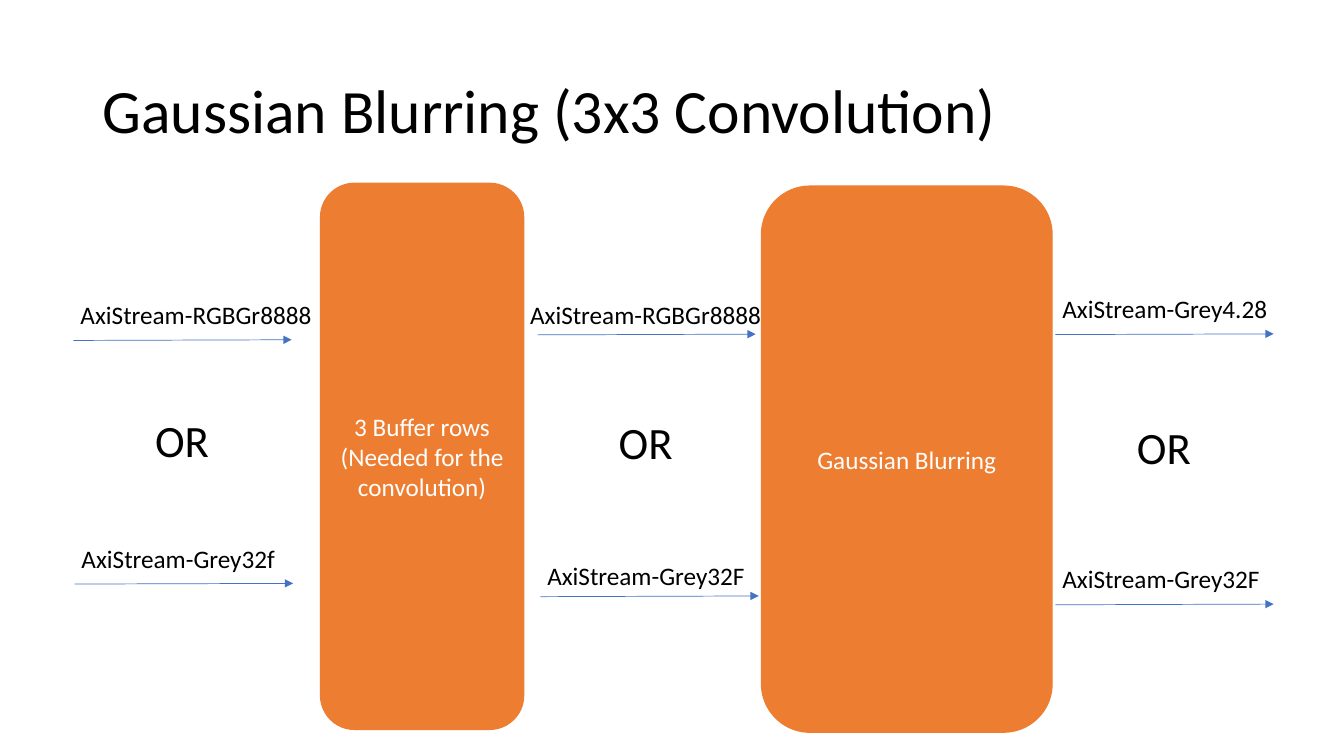
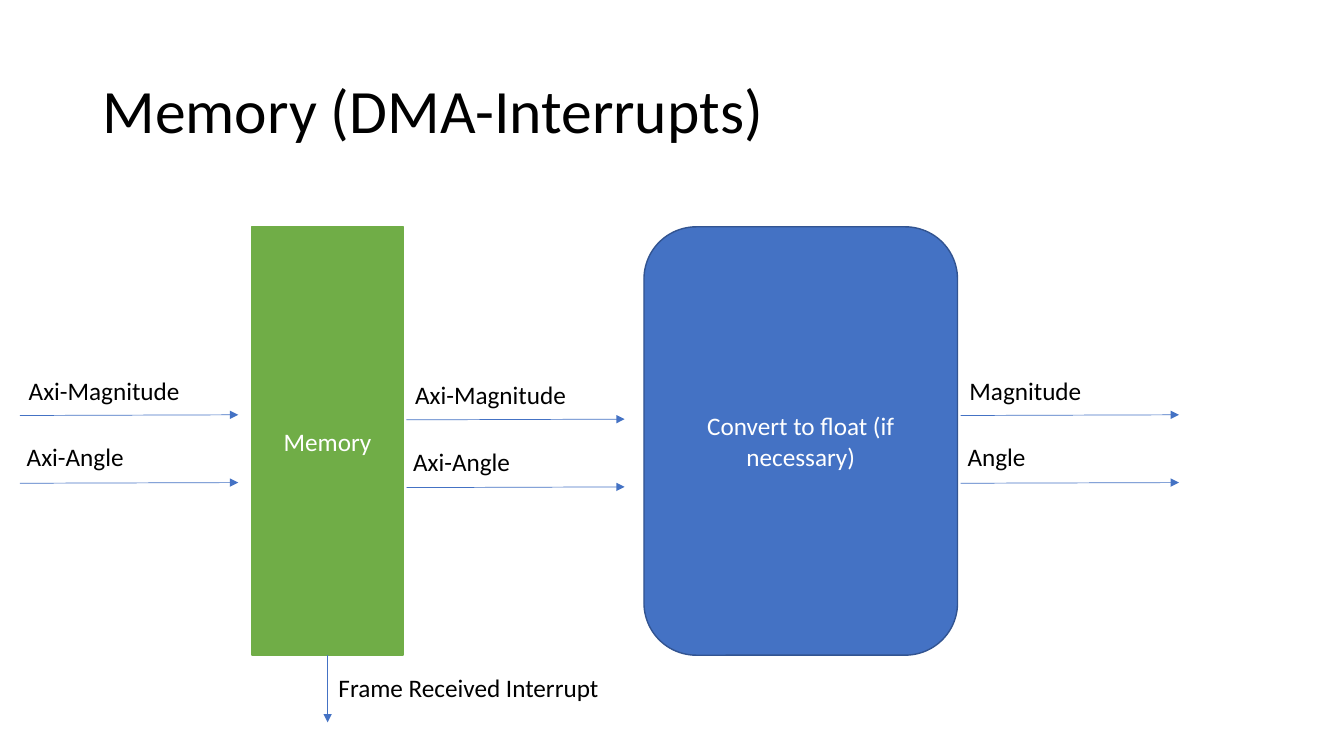
from lxml import etree
from pptx import Presentation
from pptx.dml.color import RGBColor
from pptx.enum import shapes, text
from pptx.oxml import ns
from pptx.util import Pt

BLACK = RGBColor(0x00, 0x00, 0x00)
WHITE = RGBColor(0xFF, 0xFF, 0xFF)
ORANGE = RGBColor(0xED, 0x7D, 0x31)
GREEN = RGBColor(0x70, 0xAD, 0x47)
BLUE = RGBColor(0x44, 0x72, 0xC4)
DARK_BLUE = RGBColor(0x32, 0x54, 0x91)

FONT = "Calibri"
ARROW_LENGTH = 156
ARROW_RISE = 0.5
LABEL_WIDTH = 192
LABEL_HEIGHT = 29
ROW_GAP = 48.4

RECTANGLE = shapes.MSO_SHAPE.RECTANGLE
ROUNDED = shapes.MSO_SHAPE.ROUNDED_RECTANGLE


def write_text(frame, content, size=18, color=BLACK, align=text.PP_ALIGN.LEFT,
               anchor=text.MSO_ANCHOR.TOP, wrap=True, spacing=1.0):
    frame.text = content
    frame.auto_size = text.MSO_AUTO_SIZE.NONE
    frame.word_wrap = wrap
    frame.vertical_anchor = anchor
    for para in frame.paragraphs:
        para.alignment = align
        para.line_spacing = spacing
        para.font.name = FONT
        para.font.size = Pt(size)
        para.font.color.rgb = color


def add_page(deck, title):
    page = deck.slides.add_slide(deck.slide_layouts[5])
    box = page.shapes.title
    box.left, box.top, box.width, box.height = Pt(66), Pt(28.8), Pt(828), Pt(104.4)
    write_text(box.text_frame, title, size=44, spacing=0.9,
               anchor=text.MSO_ANCHOR.MIDDLE)
    return page


def add_block(page, kind, content, left, top, width, height, fill, outline):
    block = page.shapes.add_shape(kind, Pt(left), Pt(top), Pt(width), Pt(height))
    block.shadow.inherit = False
    block.fill.solid()
    block.fill.fore_color.rgb = fill
    block.line.color.rgb = outline
    block.line.width = Pt(1)
    write_text(block.text_frame, content, color=WHITE,
               align=text.PP_ALIGN.CENTER, anchor=text.MSO_ANCHOR.MIDDLE)


def add_label(page, content, left, top, width=LABEL_WIDTH, height=LABEL_HEIGHT, **style):
    box = page.shapes.add_textbox(Pt(left), Pt(top), Pt(width), Pt(height))
    write_text(box.text_frame, content, **style)


def add_arrow(page, start_x, start_y, end_x, end_y):
    arrow = page.shapes.add_connector(
        shapes.MSO_CONNECTOR.STRAIGHT, Pt(start_x), Pt(start_y), Pt(end_x), Pt(end_y))
    arrow.line.color.rgb = BLUE
    arrow.line.width = Pt(0.5)
    line = arrow.line._get_or_add_ln()
    etree.SubElement(line, ns.qn("a:tailEnd"), type="triangle")
    etree.SubElement(arrow._element.spPr, ns.qn("a:effectLst"))


def add_signal(page, content, label_left, label_top, arrow_left, arrow_top):
    add_arrow(page, arrow_left, arrow_top,
              arrow_left + ARROW_LENGTH, arrow_top - ARROW_RISE)
    add_label(page, content, label_left, label_top)


def add_signal_pair(page, prefix, left, top):
    add_signal(page, prefix + "Magnitude", left + 1.4, top, left + 2.2, top + 32.6)
    add_signal(page, prefix + "Angle", left, top + ROW_GAP - 0.6,
               left + 2.2, top + 32.6 + ROW_GAP)


def build_blurring(deck):
    page = add_page(deck, "Gaussian Blurring (3x3 Convolution)")
    add_block(page, ROUNDED, "3 Buffer rows\n(Needed for the convolution)",
              229, 131, 145, 390, ORANGE, ORANGE)
    add_block(page, ROUNDED, "Gaussian Blurring",
              544, 133, 207.5, 390, ORANGE, ORANGE)
    for signal in (
        ("AxiStream-RGBGr8888", 50.4, 210.2, 52.4, 243.2),
        ("AxiStream-Grey32f", 51.1, 384.5, 53.4, 417.2),
        ("AxiStream-RGBGr8888", 371.5, 210.2, 383.8, 239.2),
        ("AxiStream-Grey32F", 383.8, 396.7, 386, 426.2),
        ("AxiStream-Grey4.28", 751.7, 205.9, 753.8, 239),
        ("AxiStream-Grey32F", 751.7, 398.9, 753.8, 432),
    ):
        add_signal(page, *signal)
    for left, top in ((103.7, 290.9), (434.9, 293), (805, 296)):
        add_label(page, "OR", left, top, width=53, height=46, size=32, wrap=False)


def build_memory(deck):
    page = add_page(deck, "Memory (DMA-Interrupts)")
    add_block(page, RECTANGLE, "Memory", 180, 162, 108, 306, GREEN, GREEN)
    add_block(page, ROUNDED, "Convert to float (if necessary)",
              460, 162, 224, 306, BLUE, DARK_BLUE)
    for prefix, left, top in (("Axi-", 12, 264.2), ("Axi-", 288, 267.3), ("", 684, 264.2)):
        add_signal_pair(page, prefix, left, top)
    add_arrow(page, 234, 468, 234, 516)
    add_label(page, "Frame Received Interrupt", 234.7, 476.6, width=202, wrap=False)


def main():
    deck = Presentation()
    deck.slide_width, deck.slide_height = Pt(960), Pt(540)
    build_blurring(deck)
    build_memory(deck)
    deck.save("out.pptx")


if __name__ == "__main__":
    main()
